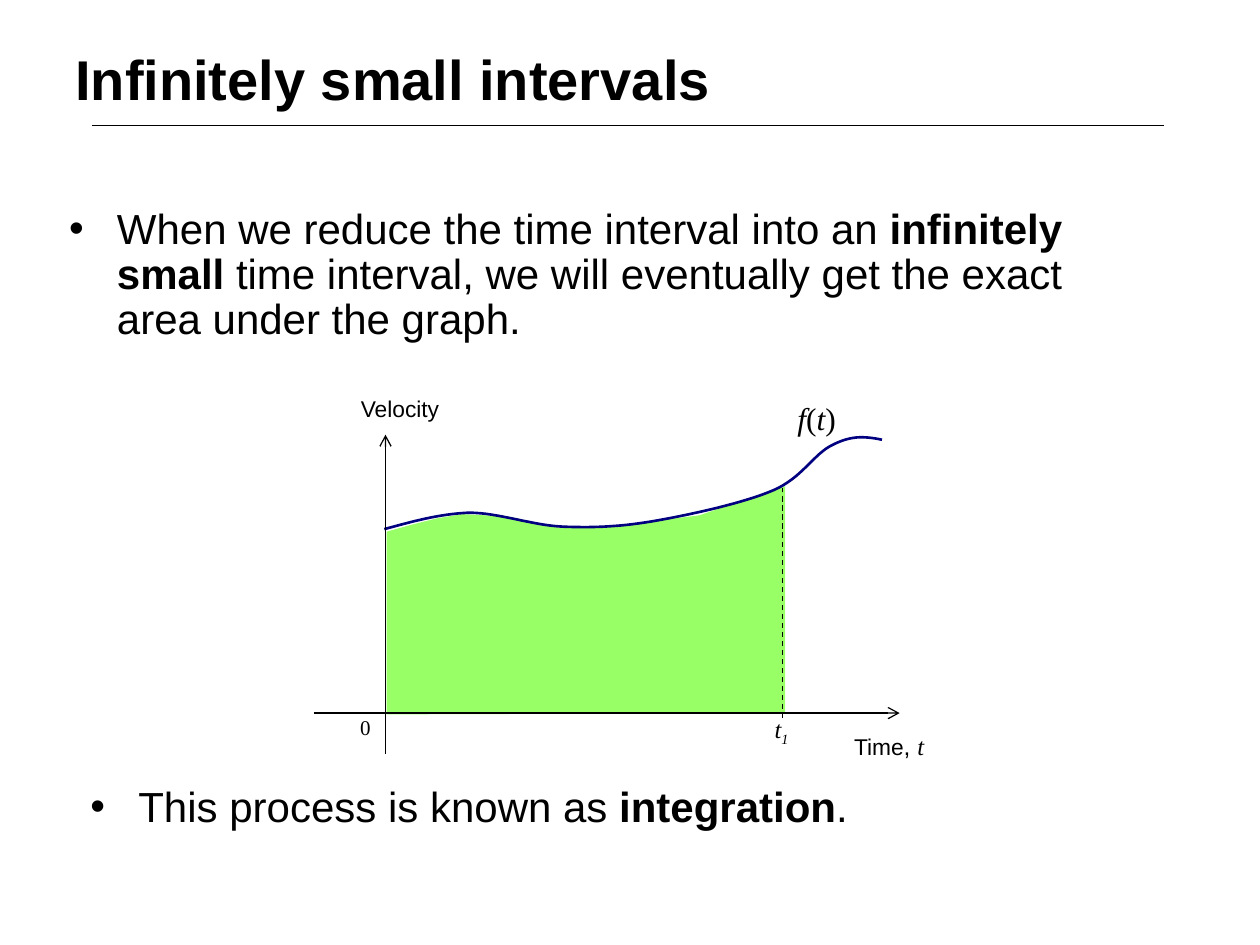
from lxml.etree import SubElement
from pptx import Presentation
from pptx.dml.color import RGBColor
from pptx.enum.dml import MSO_LINE
from pptx.enum.text import PP_ALIGN
from pptx.oxml.ns import qn
from pptx.util import Pt

color = RGBColor.from_string
SANS, SERIF = "Arial", "Times New Roman"

deck = Presentation()
deck.slide_width, deck.slide_height = Pt(720), Pt(540)
page = deck.slides.add_slide(deck.slide_layouts[6])


def add_text(left, top, width, height, runs, bullet=False):
    """Each run is (text, font, size, style); style holds b, i or _ (subscript)."""
    box = page.shapes.add_textbox(Pt(left), Pt(top), Pt(width), Pt(height))
    box.text_frame.word_wrap = True
    para = box.text_frame.paragraphs[0]
    if bullet:
        para.line_spacing = 0.9
        properties = para._p.get_or_add_pPr()
        properties.set("marL", str(Pt(42.5)))
        properties.set("indent", str(Pt(-27.4)))
        SubElement(properties, qn("a:buFont"), typeface=SANS)
        SubElement(properties, qn("a:buChar"), char="•")
    for text, font, size, style in runs:
        span = para.add_run()
        span.text = text
        span.font.name, span.font.size = font, Pt(size)
        span.font.bold, span.font.italic = "b" in style, "i" in style
        span.font.color.rgb = color("000000")
        if "_" in style:
            span._r.get_or_add_rPr().set("baseline", "-25000")
    return para


def add_line(x1, y1, x2, y2, weight=0.75, arrow=False):
    line = page.shapes.add_connector(1, Pt(x1), Pt(y1), Pt(x2), Pt(y2))
    line.line.color.rgb = color("000000")
    line.line.width = Pt(weight)
    if arrow:
        SubElement(line.line._get_or_add_ln(), qn("a:tailEnd"), type="arrow")
    SubElement(line._element.spPr, qn("a:effectLst"))
    return line


# Title, rule and first bullet
add_line(52.6, 71.3, 665.3, 71.3, weight=0.25)
add_text(17.3, 115.2, 648, 122.4, [
    ("When we reduce the time interval into an ", SANS, 24, ""),
    ("infinitely small ", SANS, 24, "b"),
    ("time interval, we will eventually get the exact area under the graph.", SANS, 24, ""),
], bullet=True)
add_text(36, 21.6, 648, 90, [("Infinitely small intervals", SANS, 32, "b")])

# Area under the graph
area_points = [(221, 408.2), (448.6, 407.5), (448.6, 277.9), (399.6, 294.5),
               (353.5, 300.2), (319.7, 301.7), (290.9, 295.2), (264.2, 293.8),
               (249.8, 296.2), (235.4, 299.8)]
builder = page.shapes.build_freeform(Pt(221), Pt(303.8))
builder.add_line_segments([(Pt(x), Pt(y)) for x, y in area_points], close=True)
area = builder.convert_to_shape()
area.shadow.inherit = False
area.fill.solid()
area.fill.fore_color.rgb = color("99FF66")
area.line.fill.background()

# Graph labels
add_text(435.6, 404.6, 56, 40.3, [("t", SERIF, 14, "i"), ("1", SERIF, 14, "i_")])
add_text(121.7, 221.8, 213.8, 23, [("Velocity", SANS, 13, "")]).alignment = PP_ALIGN.CENTER
add_text(481, 414, 90, 24.5, [("Time", SANS, 13, ""), (", ", SANS, 14, ""),
                              ("t", SERIF, 14, "i")])
add_text(448.6, 224.6, 101.5, 28.8, [("f", SERIF, 18, "i"), ("(", SERIF, 18, ""),
                                     ("t", SERIF, 18, "i"), (")", SERIF, 18, "")])
add_text(198.7, 404.6, 56, 40.3, [("0", SERIF, 12, "")])

# Limit of the interval
add_line(447.1, 410.4, 447.1, 278.6).line.dash_style = MSO_LINE.DASH

# Velocity curve: Bezier segments sampled as short lines
start = (219.6, 302.4)
segments = [
    ((235.4, 298.1), (250.6, 293.8), (267.8, 293)),
    ((285.1, 293), (303.8, 300.2), (321.8, 301)),
    ((339.8, 301.7), (355.7, 301), (375.8, 297.4)),
    ((396, 293.8), (425.5, 287.3), (442.1, 280.1)),
    ((458.6, 272.9), (465.1, 259.2), (475.9, 254.2)),
    ((486, 249.1), (493.2, 249.1), (504, 251.3)),
]
STEPS = 16
builder = page.shapes.build_freeform(Pt(start[0]), Pt(start[1]))
for first, second, end in segments:
    samples = []
    for step in range(1, STEPS + 1):
        t = step / STEPS
        weights = ((1 - t) ** 3, 3 * t * (1 - t) ** 2, 3 * t ** 2 * (1 - t), t ** 3)
        anchors = (start, first, second, end)
        samples.append([Pt(sum(w * point[axis] for w, point in zip(weights, anchors)))
                        for axis in (0, 1)])
    builder.add_line_segments(samples, close=False)
    start = end
curve = builder.convert_to_shape()
curve.shadow.inherit = False
curve.fill.background()
curve.line.color.rgb = color("000080")
curve.line.width = Pt(1.5)

# Axes
add_line(220.3, 430.6, 220.3, 248.4, arrow=True)
add_line(179.3, 407.5, 514.1, 407.5, arrow=True)

# Closing bullet
add_text(29.5, 445.7, 648, 48.2, [
    ("This process is known as ", SANS, 24, ""),
    ("integration", SANS, 24, "b"),
    (".", SANS, 24, ""),
], bullet=True)

deck.save("out.pptx")
